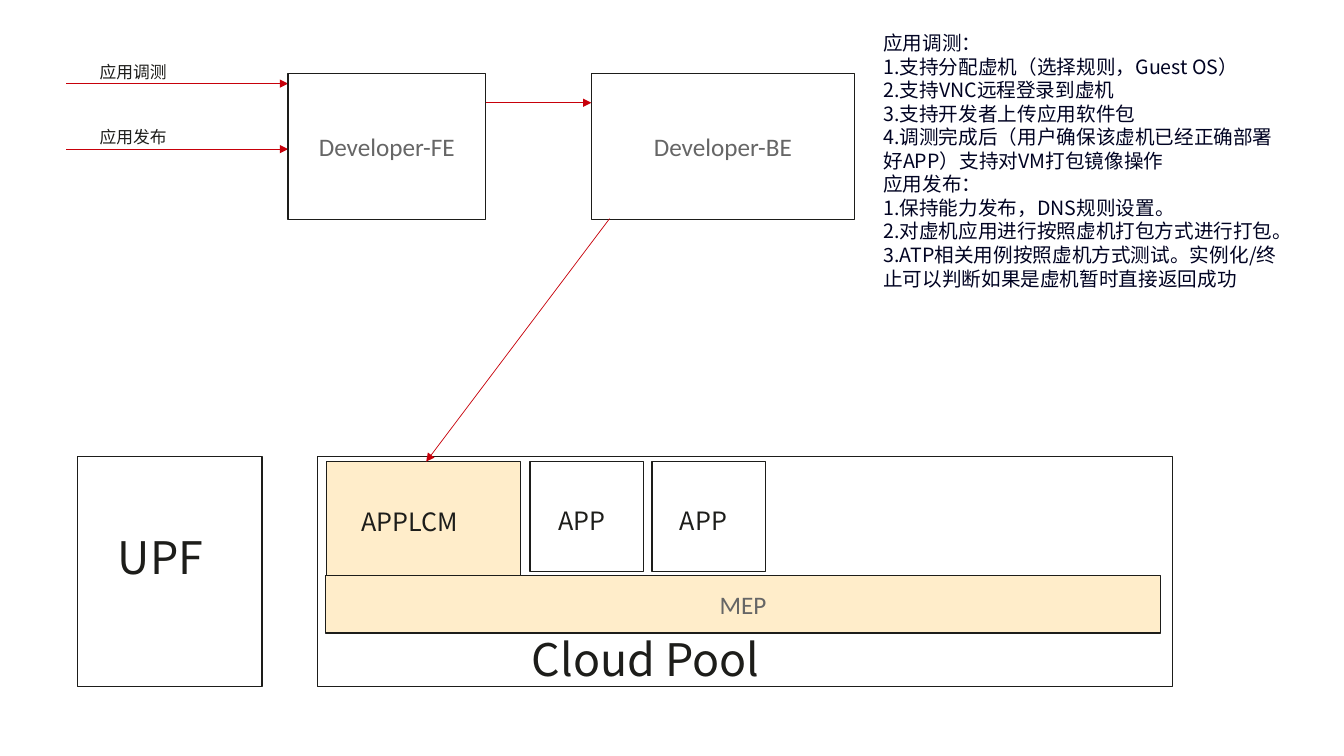
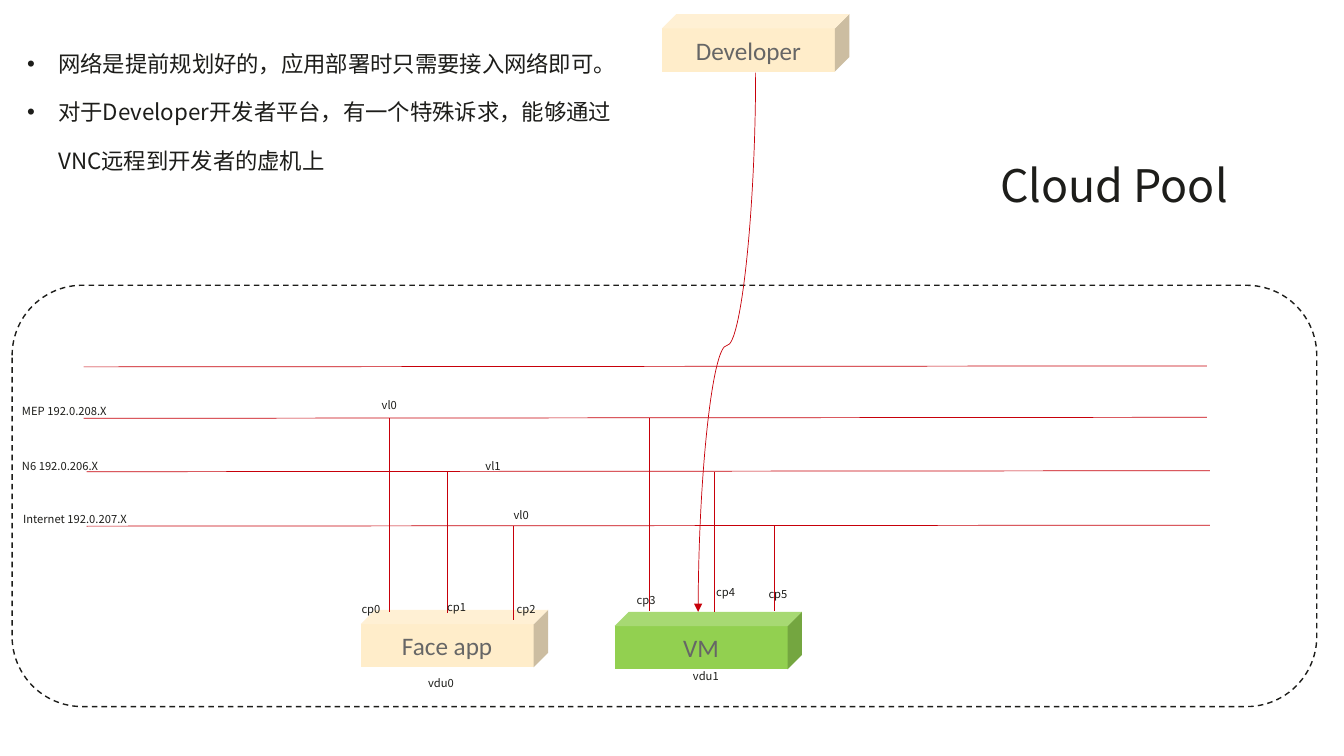
from dataclasses import dataclass

from lxml import etree
from pptx import Presentation
from pptx import util as u
from pptx.dml.color import RGBColor
from pptx.enum import dml, shapes, text
from pptx.oxml import ns

CELL = u.Inches(0.1)
COLUMNS, ROWS = 133.4, 75


@dataclass(frozen=True)
class Style:
    font: str
    size: float
    color: str
    spacing: float = 0


@dataclass(frozen=True)
class Theme:
    ink: str = "1D1D1A"
    arrow: str = "C7000A"
    cream: str = "FFEDCA"
    green: str = "92D050"
    outline: float = 1
    hairline: float = 0.5
    block: Style = Style("Calibri", 18, "666666")
    heading: Style = Style("Noto Sans CJK SC", 32, ink, 34.4)
    component: Style = Style("Noto Sans CJK SC", 18, ink, 34.4)
    bullet: Style = Style("Noto Sans CJK SC", 16, ink, 34.4)
    note: Style = Style("Noto Sans CJK SC", 14, "000322")
    action: Style = Style("Noto Sans CJK SC", 12, ink)
    tag: Style = Style("Noto Sans CJK SC", 8, ink)


THEME = Theme()


@dataclass(frozen=True)
class Box:
    left: float
    top: float
    width: float
    height: float

    def inner(self, column, row, width, height):
        return Box(self.left + column, self.top + row, width, height)

    def point(self, column, row):
        return self.left + column, self.top + row

    def lengths(self):
        return cells(self.left, self.top, self.width, self.height)


def cells(*counts):
    return [u.Emu(round(count * CELL)) for count in counts]


def add_xml(parent, tag, **attributes):
    return etree.SubElement(parent, ns.qn(tag), attributes)


def write(frame, lines, style, align=text.PP_ALIGN.LEFT, bullets=False):
    frame.word_wrap = True
    for index, line in enumerate(lines):
        para = frame.add_paragraph() if index else frame.paragraphs[0]
        para.text = line
        para.alignment = align
        if style.spacing:
            para.line_spacing = u.Pt(style.spacing)
        properties = para._p.get_or_add_pPr()
        if bullets:
            indent = u.Inches(0.31)
            properties.set("marL", str(indent))
            properties.set("indent", str(-indent))
            add_xml(properties, "a:buFont", typeface="Arial")
            add_xml(properties, "a:buChar", char="•")
        para.font.name = style.font
        para.font.size = u.Pt(style.size)
        para.font.color.rgb = RGBColor.from_string(style.color)
        add_xml(properties.find(ns.qn("a:defRPr")), "a:ea", typeface=style.font)


def add_label(page, box, style, *lines, bullets=False):
    frame = page.shapes.add_textbox(*box.lengths()).text_frame
    write(frame, lines, style, bullets=bullets)
    frame.auto_size = text.MSO_AUTO_SIZE.SHAPE_TO_FIT_TEXT


def add_block(page, box, name="", fill=None, outlined=True, dashed=False,
              kind=shapes.MSO_SHAPE.RECTANGLE):
    block = page.shapes.add_shape(kind, *box.lengths())
    block.shadow.inherit = False
    block._element.remove(block._element.find(ns.qn("p:style")))
    if fill:
        block.fill.solid()
        block.fill.fore_color.rgb = RGBColor.from_string(fill)
    else:
        block.fill.background()
    if outlined:
        block.line.color.rgb = RGBColor.from_string(THEME.ink)
        block.line.width = u.Pt(THEME.outline)
        if dashed:
            block.line.dash_style = dml.MSO_LINE.DASH
    else:
        block.line.fill.background()
    if name:
        block.text_frame.vertical_anchor = text.MSO_ANCHOR.MIDDLE
        write(block.text_frame, [name], THEME.block, text.PP_ALIGN.CENTER)


def add_line(page, start, end, arrow=False, kind=shapes.MSO_CONNECTOR.STRAIGHT):
    line = page.shapes.add_connector(kind, *cells(*start, *end))
    line.line.color.rgb = RGBColor.from_string(THEME.arrow)
    line.line.width = u.Pt(THEME.hairline)
    properties = line._element.spPr
    if arrow:
        add_xml(properties.find(ns.qn("a:ln")), "a:tailEnd", type="triangle")
    add_xml(properties, "a:effectLst")
    return line


def add_falling_curve(page, start, end, bend):
    across, down = start[0] - end[0], end[1] - start[1]
    middle, center = (start[0] + end[0]) / 2, (start[1] + end[1]) / 2
    curve = add_line(page, (middle - down / 2, center - across / 2),
                     (middle + down / 2, center + across / 2),
                     True, shapes.MSO_CONNECTOR.CURVE)
    properties = curve._element.spPr
    properties.find(ns.qn("a:xfrm")).set("rot", str(90 * 60000))
    guides = properties.find(ns.qn("a:prstGeom")).find(ns.qn("a:avLst"))
    add_xml(guides, "a:gd", name="adj1", fmla=f"val {round(bend * 1000)}")


def draw_requests(page, box):
    for index, action in enumerate(("应用调测", "应用发布")):
        row = 6.5 * index
        add_line(page, box.point(0, row + 2.7), box.point(box.width, row + 2.7), True)
        add_label(page, box.inner(2.3, row, 13.9, 3), THEME.action, action)


def draw_developers(page, box):
    front, back = 19.6, 26.1
    add_block(page, box.inner(0, 0, front, box.height), "Developer-FE")
    add_block(page, box.inner(box.width - back, 0, back, box.height), "Developer-BE")
    add_line(page, box.point(front, 2.9), box.point(box.width - back, 2.9), True)


def draw_upf(page, box):
    add_block(page, box, kind=shapes.MSO_SHAPE.FLOWCHART_PROCESS)
    add_label(page, box.inner(3, 7.3, 12.2, 5.8), THEME.heading, "UPF")


def draw_host(page, box):
    add_block(page, box)
    add_label(page, box.inner(20.3, 17.4, 56, 5.8), THEME.heading, "Cloud Pool")
    add_block(page, box.inner(0.8, 11.8, 82.9, 5.7), "MEP", THEME.cream)
    add_block(page, box.inner(0.9, 0.5, 19.3, 11.3), fill=THEME.cream)
    add_label(page, box.inner(3.4, 2.7, 14.3, 5.8), THEME.component, "APPLCM")
    for index in range(2):
        app = box.inner(21.1 + 12.1 * index, 0.5, 11.3, 10.9)
        add_block(page, app)
        add_label(page, app.inner(1.8, 2.1, 7.8, 5.8), THEME.component, "APP")


def build_flow(page):
    draw_requests(page, Box(6.6, 5.6, 22, 9.5))
    draw_developers(page, Box(28.6, 7.3, 56.2, 14.5))
    draw_upf(page, Box(7.7, 45.3, 18.3, 22.8))
    draw_host(page, Box(31.5, 45.3, 84.9, 22.8))
    add_line(page, (60.5, 21.7), (42.3, 45.8), True)
    add_label(page, Box(86.7, 2.6, 41.6, 29.3), THEME.note,
              "应用调测：",
              "1.支持分配虚机（选择规则，Guest OS）",
              "2.支持VNC远程登录到虚机",
              "3.支持开发者上传应用软件包",
              "4.调测完成后（用户确保该虚机已经正确部署好APP）支持对VM打包镜像操作",
              "应用发布：",
              "1.保持能力发布，DNS规则设置。",
              "2.对虚机应用进行按照虚机打包方式进行打包。",
              "3.ATP相关用例按照虚机方式测试。实例化/终止可以判断如果是虚机暂时直接返回成功")


NETWORK_ROWS = (13.2, 18.5, 23.9)


def draw_networks(page, box):
    add_block(page, box, dashed=True, kind=shapes.MSO_SHAPE.ROUNDED_RECTANGLE)
    for column, row in zip((7.1, 7.1, 7.4, 7.4), (8.1, *NETWORK_ROWS)):
        add_line(page, box.point(column, row), box.point(column + 111.5, row - 0.1))
    tags = (("MEP 192.0.208.X", 0, 11.3, 12.3),
            ("N6 192.0.206.X", 0, 16.8, 12.3),
            ("Internet 192.0.207.X", 0.1, 22, 16.8),
            ("vl0", 35.7, 10.7, 9.1),
            ("vl1", 46, 16.8, 9.1),
            ("vl0", 48.8, 21.6, 9.1))
    for name, column, row, width in tags:
        add_label(page, box.inner(column, row, width, 2.4), THEME.tag, name)


def draw_cube(page, box, name, fill):
    add_block(page, box, name, fill, outlined=False, kind=shapes.MSO_SHAPE.CUBE)


def draw_machine(page, box, name, fill, network_top, ports, tags):
    draw_cube(page, box, name, fill)
    for (column, foot), row in zip(ports, NETWORK_ROWS):
        start = box.left + column, network_top + row
        add_line(page, start, box.point(column, foot))
    for tag, column, row in tags:
        add_label(page, box.inner(column, row, 9.1, 2.4), THEME.tag, tag)


def build_network(page):
    network = Box(1.2, 28.3, 129.5, 41.8)
    draw_networks(page, network)
    draw_machine(page, Box(35.8, 60.5, 18.6, 5.7), "Face app", THEME.cream, network.top,
                 ((2.8, 0.2), (8.6, 0.3), (15.2, 1)),
                 (("cp0", -0.9, -1.2), ("cp1", 7.6, -1.4), ("cp2", 14.5, -1.2),
                  ("vdu0", 5.7, 6.1)))
    draw_machine(page, Box(61, 60.7, 18.6, 5.7), "VM", THEME.green, network.top,
                 ((3.5, -0.1), (9.95, 0), (15.9, -0.1)),
                 (("cp3", 1.2, -2.3), ("cp4", 9.1, -3.1), ("cp5", 14.3, -2.9),
                  ("vdu1", 6.8, 5.2)))
    draw_cube(page, Box(65.7, 1.4, 18.6, 5.7), "Developer", THEME.cream)
    add_falling_curve(page, (75, 7.2), (69.3, 60.7), 50.6)
    add_label(page, Box(98.3, 15.7, 28.1, 5.8), THEME.heading, "Cloud Pool")
    add_label(page, Box(1.7, 2.4, 60.5, 15.3), THEME.bullet,
              "网络是提前规划好的，应用部署时只需要接入网络即可。",
              "对于Developer开发者平台，有一个特殊诉求，能够通过VNC远程到开发者的虚机上",
              bullets=True)


def main():
    deck = Presentation()
    deck.slide_width, deck.slide_height = cells(COLUMNS, ROWS)
    for build in (build_flow, build_network):
        build(deck.slides.add_slide(deck.slide_layouts[6]))
    deck.save("out.pptx")


if __name__ == "__main__":
    main()
